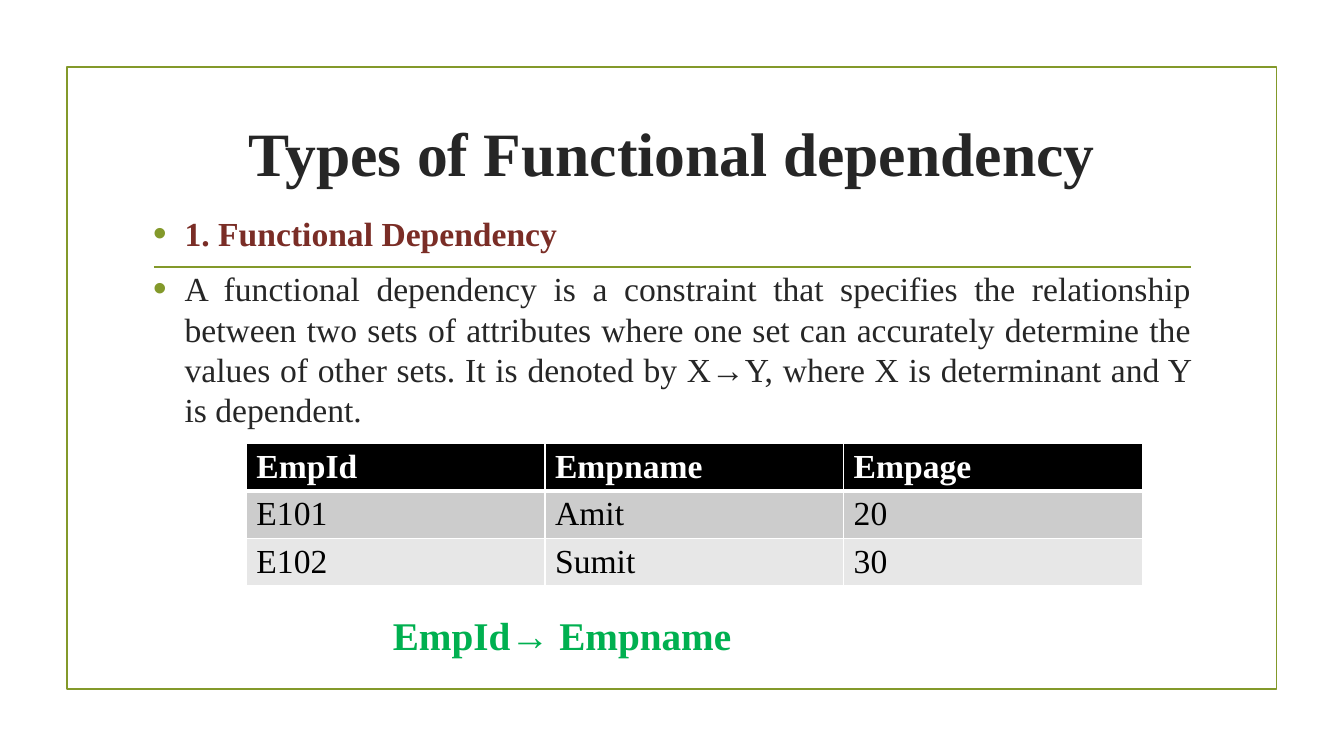
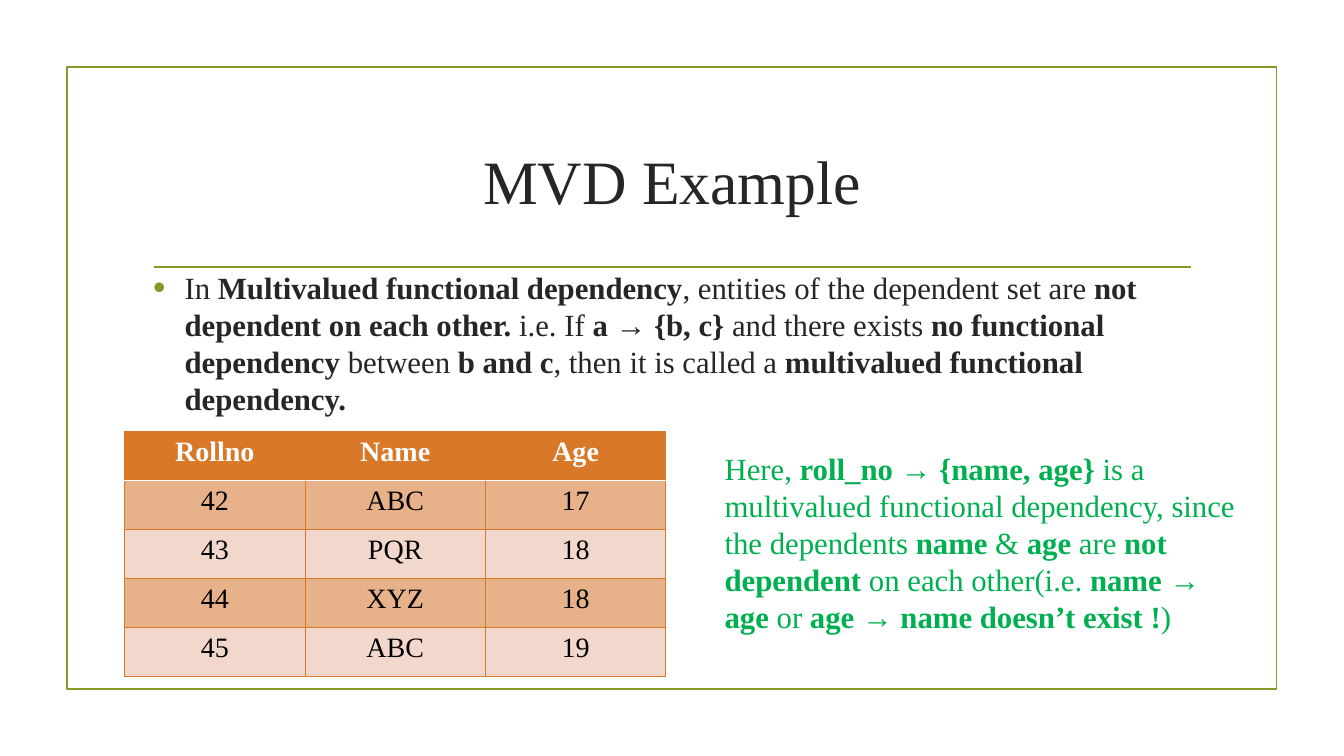
"""Build two slides on functional dependencies, each with a sample table."""
from dataclasses import dataclass

from lxml.etree import SubElement
from pptx import Presentation
from pptx.dml.color import RGBColor
from pptx.enum.shapes import MSO_CONNECTOR, MSO_SHAPE
from pptx.enum.text import MSO_ANCHOR, MSO_AUTO_SIZE, PP_ALIGN
from pptx.oxml.ns import qn
from pptx.util import Pt

FONT = "Times New Roman"
OLIVE = RGBColor(0x83, 0x99, 0x2A)
INK = RGBColor(0x26, 0x26, 0x26)
MAROON = RGBColor(0x7A, 0x2D, 0x26)
GREEN = RGBColor(0x00, 0xB0, 0x50)
BLACK = RGBColor(0x00, 0x00, 0x00)
WHITE = RGBColor(0xFF, 0xFF, 0xFF)
GREY = RGBColor(0xCC, 0xCC, 0xCC)
PALE_GREY = RGBColor(0xE7, 0xE7, 0xE7)
ORANGE = RGBColor(0xD9, 0x78, 0x28)
LIGHT_ORANGE = RGBColor(0xE7, 0xB1, 0x8A)
PALE_ORANGE = RGBColor(0xF1, 0xD7, 0xCC)


@dataclass(frozen=True)
class Box:
    """Position and size in points."""
    left: float
    top: float
    width: float
    height: float


@dataclass(frozen=True)
class RichText:
    """A paragraph whose parts between double asterisks are bold."""
    text: str
    size: float
    color: RGBColor = INK
    align: PP_ALIGN = PP_ALIGN.LEFT


@dataclass(frozen=True)
class Edge:
    """Colour and width of a cell border."""
    color: RGBColor
    width: float


@dataclass(frozen=True)
class TableStyle:
    """Look of a banded table."""
    size: float
    align: PP_ALIGN
    header: RGBColor
    bands: tuple[RGBColor, RGBColor]
    edge: Edge
    header_edge: Edge


@dataclass(frozen=True)
class TableContent:
    """Place, look and rows of a table."""
    box: Box
    style: TableStyle
    rows: tuple[tuple[str, ...], ...]


@dataclass(frozen=True)
class SlideContent:
    """Everything that one slide shows."""
    title: RichText
    title_box: Box
    body: tuple[RichText, ...]
    body_box: Box
    table: TableContent
    note: RichText
    note_box: Box


MONO_STYLE = TableStyle(24, PP_ALIGN.LEFT, BLACK, (GREY, PALE_GREY),
                        Edge(WHITE, 1), Edge(WHITE, 3))
ORANGE_STYLE = TableStyle(20, PP_ALIGN.CENTER, ORANGE, (LIGHT_ORANGE, PALE_ORANGE),
                          Edge(ORANGE, 0.75), Edge(WHITE, 1.25))

SLIDES = (
    SlideContent(
        RichText("**Types of Functional dependency**", 44, INK, PP_ALIGN.CENTER),
        Box(102.2, 57, 756, 103),
        (
            RichText("**1. Functional Dependency**", 24, MAROON, PP_ALIGN.JUSTIFY),
            RichText("A functional dependency is a constraint that specifies the "
                     "relationship between two sets of attributes where one set can "
                     "accurately determine the values of other sets. It is denoted by "
                     "X→Y, where X is determinant and Y is dependent.",
                     24, INK, PP_ALIGN.JUSTIFY),
        ),
        Box(102.2, 148.3, 756, 299.5),
        TableContent(
            Box(176, 316.8, 640, 101.4), MONO_STYLE,
            (("EmpId", "Empname", "Empage"),
             ("E101", "Amit", "20"),
             ("E102", "Sumit", "30"))),
        RichText("**EmpId→ Empname**", 28, GREEN),
        Box(273.6, 433.4, 412.6, 41),
    ),
    SlideContent(
        RichText("MVD Example", 44, INK, PP_ALIGN.CENTER),
        Box(102.2, 77, 756, 103),
        (
            RichText("In **Multivalued functional dependency**, entities of the "
                     "dependent set are **not dependent on each other. **i.e. If "
                     "**a → {b, c}** and there exists **no functional dependency** "
                     "between **b and c**, then it is called a **multivalued "
                     "functional dependency.**", 22),
        ),
        Box(102.2, 188.6, 756, 261.4),
        TableContent(
            Box(89, 308.2, 386.6, 175), ORANGE_STYLE,
            (("Rollno", "Name", "Age"),
             ("42", "ABC", "17"),
             ("43", "PQR", "18"),
             ("44", "XYZ", "18"),
             ("45", "ABC", "19"))),
        RichText("Here, **roll_no → {name, age} **is a multivalued functional "
                 "dependency, since the dependents **name** & **age** are **not "
                 "dependent** on each other(i.e. **name → age **or** age → name "
                 "doesn’t exist !**)", 22, GREEN),
        Box(510.5, 317.5, 383, 140.4),
    ),
)


def place(shape, box: Box) -> None:
    """Move and size a shape."""
    shape.left, shape.top = Pt(box.left), Pt(box.top)
    shape.width, shape.height = Pt(box.width), Pt(box.height)


def write_rich(paragraph, content: RichText) -> None:
    """Fill a paragraph with formatted runs."""
    paragraph.alignment = content.align
    for index, part in enumerate(content.text.split("**")):
        if part:
            run = paragraph.add_run()
            run.text = part
            format_font(run.font, content.size, content.color, index % 2 == 1)


def format_font(font, size: float, color: RGBColor, bold: bool) -> None:
    """Set the typeface, size, colour and weight."""
    font.name, font.size, font.bold = FONT, Pt(size), bold
    font.color.rgb = color


def add_bullet(paragraph) -> None:
    """Give a paragraph a hanging olive bullet."""
    properties = paragraph._p.get_or_add_pPr()
    properties.set("marL", str(Pt(22.5)))
    properties.set("indent", str(-Pt(22.5)))
    color = SubElement(properties, qn("a:buClr"))
    SubElement(color, qn("a:srgbClr"), val=str(OLIVE))
    SubElement(properties, qn("a:buSzPct"), val="115000")
    SubElement(properties, qn("a:buFont"), typeface="Arial")
    SubElement(properties, qn("a:buChar"), char="•")


def fill_title(slide, content: SlideContent) -> None:
    """Place and write the title."""
    title = slide.shapes.title
    place(title, content.title_box)
    text_frame = title.text_frame
    text_frame.auto_size = MSO_AUTO_SIZE.NONE
    text_frame.vertical_anchor = MSO_ANCHOR.MIDDLE
    write_rich(text_frame.paragraphs[0], content.title)


def fill_body(slide, content: SlideContent) -> None:
    """Place and write the bulleted list."""
    body = slide.placeholders[1]
    place(body, content.body_box)
    text_frame = body.text_frame
    text_frame.auto_size = MSO_AUTO_SIZE.NONE
    for index, item in enumerate(content.body):
        paragraph = text_frame.add_paragraph() if index else text_frame.paragraphs[0]
        add_bullet(paragraph)
        paragraph.space_before = Pt(0.2 * item.size if index else 0)
        paragraph.space_after = Pt(6)
        write_rich(paragraph, item)


def set_edge(cell, side: str, edge: Edge) -> None:
    """Draw one border of a cell."""
    line = SubElement(cell._tc.get_or_add_tcPr(), qn(f"a:ln{side}"),
                      w=str(Pt(edge.width)))
    fill = SubElement(line, qn("a:solidFill"))
    SubElement(fill, qn("a:srgbClr"), val=str(edge.color))


def format_cell(cell, row: int, style: TableStyle) -> None:
    """Apply borders, fill and font to a cell."""
    is_header = row == 0
    top = style.header_edge if row == 1 else style.edge
    bottom = style.header_edge if is_header else style.edge
    for side, edge in zip("LRTB", (style.edge, style.edge, top, bottom)):
        set_edge(cell, side, edge)
    cell.fill.solid()
    cell.fill.fore_color.rgb = style.header if is_header else style.bands[(row - 1) % 2]
    paragraph = cell.text_frame.paragraphs[0]
    paragraph.alignment = style.align
    for run in paragraph.runs:
        format_font(run.font, style.size, WHITE if is_header else BLACK, is_header)


def add_data_table(slide, content: TableContent) -> None:
    """Add a table with equal rows and columns."""
    box = content.box
    table = slide.shapes.add_table(
        len(content.rows), len(content.rows[0]),
        Pt(box.left), Pt(box.top), Pt(box.width), Pt(box.height)).table
    for row, values in enumerate(content.rows):
        for column, value in enumerate(values):
            cell = table.cell(row, column)
            cell.text_frame.text = value
            format_cell(cell, row, content.style)


def add_note(slide, content: SlideContent) -> None:
    """Add the green remark."""
    box = content.note_box
    note = slide.shapes.add_textbox(Pt(box.left), Pt(box.top), Pt(box.width), Pt(box.height))
    note.text_frame.word_wrap = True
    write_rich(note.text_frame.paragraphs[0], content.note)


def add_frame(slide) -> None:
    """Draw the olive frame and the rule below the title."""
    frame = slide.shapes.add_shape(MSO_SHAPE.RECTANGLE, Pt(47.8), Pt(48), Pt(864), Pt(444))
    frame.shadow.inherit = False
    frame.fill.background()
    rule = slide.shapes.add_connector(
        MSO_CONNECTOR.STRAIGHT, Pt(110), Pt(190.8), Pt(850.5), Pt(190.8))
    SubElement(rule.element.spPr, qn("a:effectLst"))
    for shape in (frame, rule):
        shape.line.color.rgb = OLIVE
        shape.line.width = Pt(1.25)


def build_slide(presentation, content: SlideContent) -> None:
    """Add one complete slide."""
    slide = presentation.slides.add_slide(presentation.slide_layouts[1])
    add_frame(slide)
    fill_title(slide, content)
    fill_body(slide, content)
    add_data_table(slide, content.table)
    add_note(slide, content)


def main() -> None:
    """Build and save the presentation."""
    presentation = Presentation()
    presentation.slide_width, presentation.slide_height = Pt(960), Pt(540)
    for content in SLIDES:
        build_slide(presentation, content)
    presentation.save("out.pptx")


if __name__ == "__main__":
    main()
